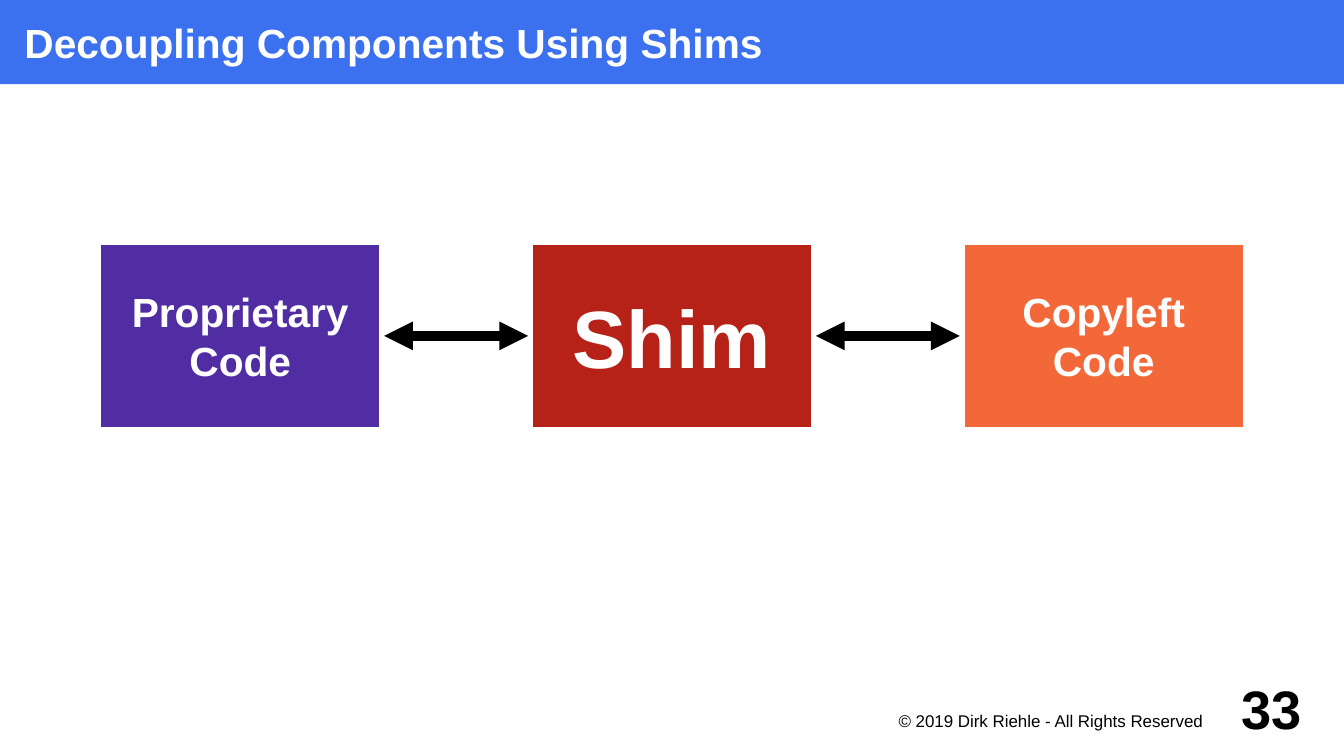
from dataclasses import dataclass

from lxml.etree import SubElement
from pptx import Presentation
from pptx.dml.color import RGBColor
from pptx.enum.shapes import MSO_CONNECTOR, MSO_SHAPE
from pptx.enum.text import MSO_ANCHOR, PP_ALIGN
from pptx.oxml.ns import qn
from pptx.util import Inches, Pt


@dataclass(frozen=True)
class Theme:
    """Colours, font and type sizes of the slide."""
    font: str = "Arial"
    white: str = "FFFFFF"
    black: str = "000000"
    blue: str = "3B70EE"
    purple: str = "502DA2"
    red: str = "B62118"
    orange: str = "F36838"
    small: int = 10
    head: int = 24
    page: int = 32
    large: int = 48
    line: float = 5.67


THEME = Theme()
WIDTH, HEIGHT = 11.02, 6.2
LEFT, TOP = 0.79, 1.97
BOX_W, BOX_H, GAP = 2.36, 1.57, 1.18


def color(code):
    """Turn a hex code into a colour."""
    return RGBColor.from_string(code)


def write(shape, text, size=THEME.head, ink=THEME.white, bold=True,
          align=PP_ALIGN.LEFT, anchor=MSO_ANCHOR.MIDDLE,
          inset=(0, 0, 0, 0), wrap=True):
    """Fill a shape with formatted text, one paragraph per line."""
    frame = shape.text_frame
    frame.word_wrap = wrap
    frame.vertical_anchor = anchor
    (frame.margin_left, frame.margin_top,
     frame.margin_right, frame.margin_bottom) = map(Inches, inset)
    frame.text = text
    for para in frame.paragraphs:
        para.alignment = align
        for run in para.runs:
            font = run.font
            font.name, font.size, font.bold = THEME.font, Pt(size), bold
            font.color.rgb = color(ink)


def block(slide, area, fill, text, edge=None, **style):
    """Add a filled rectangle with text."""
    shape = slide.shapes.add_shape(MSO_SHAPE.RECTANGLE, *map(Inches, area))
    shape.shadow.inherit = False
    shape.fill.solid()
    shape.fill.fore_color.rgb = color(fill)
    if edge:
        shape.line.color.rgb = color(edge)
        shape.line.width = Pt(THEME.line)
    else:
        shape.line.fill.background()
    write(shape, text, **style)
    return shape


def label(slide, area, text, **style):
    """Add a black, right-aligned text box."""
    shape = slide.shapes.add_textbox(*map(Inches, area))
    write(shape, text, ink=THEME.black, align=PP_ALIGN.RIGHT, **style)


def arrow(slide, start, end):
    """Join two blocks with a double-headed arrow."""
    link = slide.shapes.add_connector(MSO_CONNECTOR.STRAIGHT, 0, 0, 0, 0)
    link.begin_connect(start, 3)
    link.end_connect(end, 1)
    link.line.color.rgb = color(THEME.black)
    link.line.width = Pt(THEME.line)
    stroke = link.line._get_or_add_ln()
    for tip in ("a:headEnd", "a:tailEnd"):
        SubElement(stroke, qn(tip), type="triangle")
    SubElement(link._element.spPr, qn("a:effectLst"))


def main():
    """Build and save the slide."""
    deck = Presentation()
    deck.slide_width, deck.slide_height = Inches(WIDTH), Inches(HEIGHT)
    slide = deck.slides.add_slide(deck.slide_layouts[6])

    block(slide, (0, 0, WIDTH, 0.69), THEME.blue,
          "Decoupling Components Using Shims", inset=(0.2, 0, 0, 0))

    parts = (
        ("Proprietary\nCode", THEME.purple, THEME.head),
        ("Shim", THEME.red, THEME.large),
        ("Copyleft\nCode", THEME.orange, THEME.head),
    )
    blocks = [
        block(slide, (LEFT + i * (BOX_W + GAP), TOP, BOX_W, BOX_H), fill, text,
              edge=THEME.white, size=size, align=PP_ALIGN.CENTER,
              inset=(0.1, 0.1, 0.1, 0.1), wrap=False)
        for i, (text, fill, size) in enumerate(parts)
    ]
    for start, end in zip(blocks, blocks[1:]):
        arrow(slide, start, end)

    label(slide, (6.79, 5.81, 3.15, 0.3),
          "© 2019 Dirk Riehle - All Rights Reserved", size=THEME.small,
          bold=False, anchor=MSO_ANCHOR.TOP, inset=(0, 0.02, 0.08, 0))
    label(slide, (9.88, 5.51, 0.79, 0.59), "33", size=THEME.page)
    deck.save("out.pptx")


if __name__ == "__main__":
    main()
